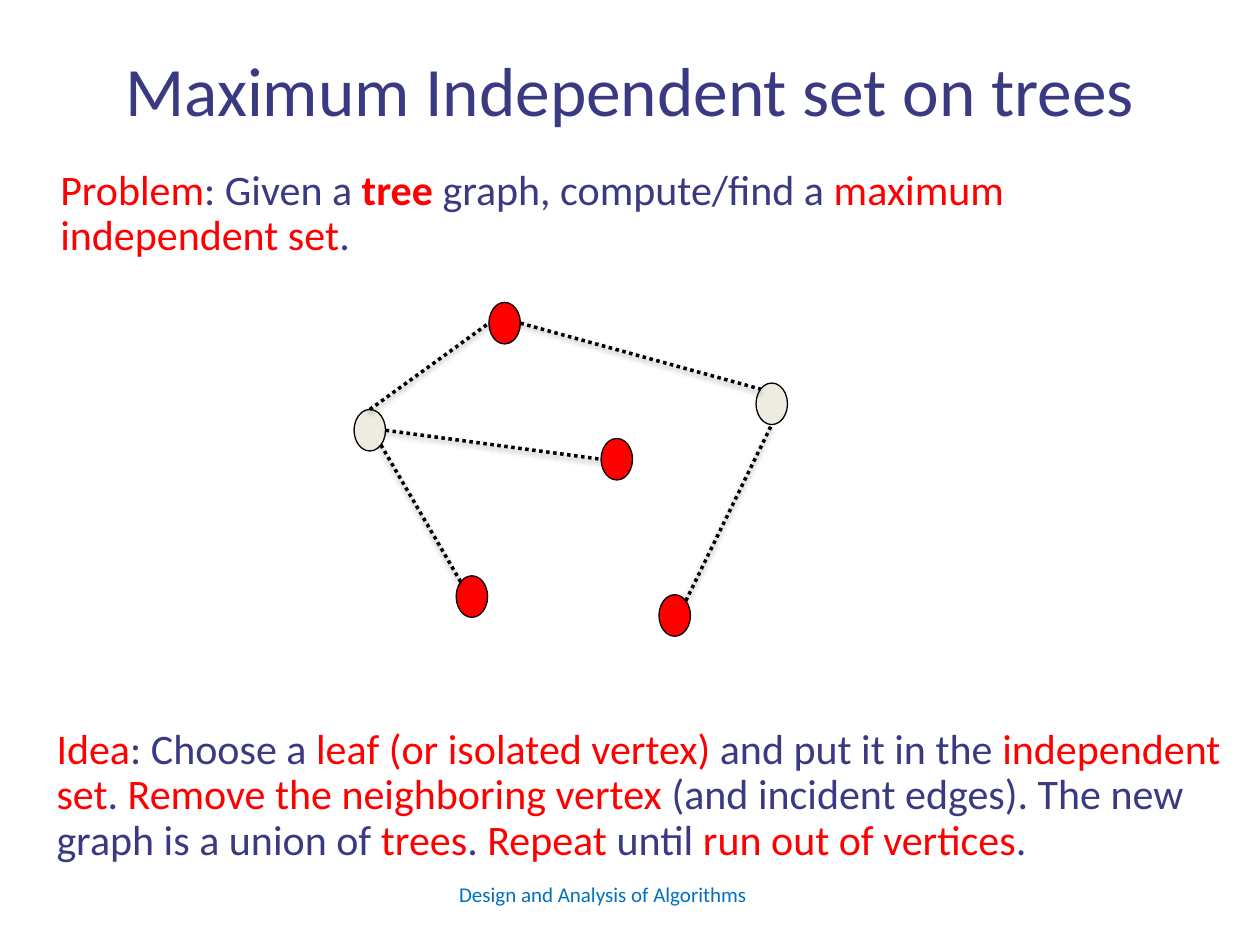
from dataclasses import dataclass
from math import cos, pi, sin
from typing import NamedTuple

from lxml import etree
from pptx import Presentation
from pptx.dml.color import RGBColor
from pptx.enum.dml import MSO_LINE
from pptx.enum.shapes import MSO_CONNECTOR, MSO_SHAPE
from pptx.enum.text import MSO_ANCHOR, MSO_AUTO_SIZE, PP_ALIGN
from pptx.oxml.ns import qn
from pptx.util import Inches, Pt

OVAL = MSO_SHAPE.OVAL
STRAIGHT = MSO_CONNECTOR.STRAIGHT
DOTTED = MSO_LINE.ROUND_DOT  # written as sysDot
MIDDLE, TOP = MSO_ANCHOR.MIDDLE, MSO_ANCHOR.TOP
CENTER, LEFT = PP_ALIGN.CENTER, PP_ALIGN.LEFT
NO_AUTOFIT = MSO_AUTO_SIZE.NONE

COLORS = {"navy": "3A3A82", "red": "FF0000", "blue": "0070C0",
          "cream": "EEECE1", "black": "000000"}
FONT = "Calibri"
CELL = Inches(0.1)  # the slide is a grid of 100 columns by 75 rows
COLUMNS, ROWS = 100, 75
VERTEX_WIDTH, VERTEX_HEIGHT = 2.5, 3.3

# Connection sites of an oval, as clockwise angles from its right end
SITES = {"right": 0, "bottom right": pi / 4, "bottom": pi / 2,
         "left": pi, "top": 3 * pi / 2, "top left": 5 * pi / 4,
         "top right": 7 * pi / 4}


class Run(NamedTuple):
    text: str
    color: str = "navy"
    bold: bool = False


class Box(NamedTuple):
    column: float
    row: float
    width: float
    height: float


@dataclass
class Vertex:
    column: float
    row: float
    color: str

    def site(self, name: str) -> tuple[float, float]:
        """Grid position of a connection site on the outline."""
        angle = SITES[name]
        return (self.column + VERTEX_WIDTH / 2 * (1 + cos(angle)),
                self.row + VERTEX_HEIGHT / 2 * (1 + sin(angle)))


class Edge(NamedTuple):
    start: str
    start_site: str
    end: str
    end_site: str


VERTICES = {
    "hub": Vertex(28.1, 32.5, "cream"),
    "root": Vertex(38.8, 24, "red"),
    "branch": Vertex(60, 30.4, "cream"),
    "lower leaf": Vertex(36.2, 45.7, "red"),
    "right leaf": Vertex(52.3, 47.2, "red"),
    "middle leaf": Vertex(47.7, 34.8, "red"),
}
EDGES = [
    Edge("hub", "bottom right", "lower leaf", "top left"),
    Edge("hub", "right", "middle leaf", "left"),
    Edge("hub", "top", "root", "left"),
    Edge("root", "right", "branch", "top left"),
    Edge("right leaf", "top right", "branch", "bottom"),
]
PROBLEM = [
    Run("Problem", "red"), Run(": Given a "), Run("tree", "red", True),
    Run(" graph, compute/find a "), Run("maximum independent set", "red"),
    Run("."),
]
IDEA = [
    Run("Idea", "red"), Run(": Choose a "),
    Run("leaf (or isolated vertex)", "red"), Run(" and put it in the "),
    Run("independent set", "red"), Run(". "),
    Run("Remove the neighboring vertex ", "red"),
    Run("(and incident edges). The new graph is a union of "),
    Run("trees", "red"), Run(". "), Run("Repeat ", "red"), Run("until"),
    Run(" run out of vertices", "red"), Run("."),
]


def rgb(name: str) -> RGBColor:
    return RGBColor.from_string(COLORS[name])


def grid(*cells: float) -> list[int]:
    return [round(cell * CELL) for cell in cells]


def write(shape, runs: list[Run], size: float, align=LEFT, anchor=TOP,
          spacing: float = 1) -> None:
    frame = shape.text_frame
    frame.word_wrap = True
    frame.auto_size = NO_AUTOFIT
    frame.vertical_anchor = anchor
    paragraph = frame.paragraphs[0]
    paragraph.alignment = align
    paragraph.line_spacing = spacing
    paragraph.space_before = Pt(0)
    paragraph.font.size = Pt(size)
    paragraph.font.name = FONT
    for item in runs:
        run = paragraph.add_run()
        run.text = item.text
        run.font.color.rgb = rgb(item.color)
        if item.bold:
            run.font.bold = True


def add_text(slide, box: Box, runs: list[Run], size: float, **layout) -> None:
    write(slide.shapes.add_textbox(*grid(*box)), runs, size, **layout)


def add_vertex(slide, vertex: Vertex) -> None:
    shape = slide.shapes.add_shape(OVAL, *grid(
        vertex.column, vertex.row, VERTEX_WIDTH, VERTEX_HEIGHT))
    shape.shadow.inherit = False
    shape.fill.solid()
    shape.fill.fore_color.rgb = rgb(vertex.color)
    shape.line.color.rgb = rgb("black")
    shape.line.width = Pt(0.75)


def add_edge(slide, edge: Edge) -> None:
    start = VERTICES[edge.start].site(edge.start_site)
    end = VERTICES[edge.end].site(edge.end_site)
    connector = slide.shapes.add_connector(STRAIGHT, *grid(*start, *end))
    connector.line.color.rgb = rgb("black")
    connector.line.width = Pt(2)
    connector.line.dash_style = DOTTED
    # Soft shadow straight below the line
    properties = connector._element.spPr
    effects = etree.SubElement(properties, qn("a:effectLst"))
    shadow = etree.SubElement(
        effects, qn("a:outerShdw"), blurRad=str(Pt(3.1)), dist=str(Pt(1.6)),
        dir="5400000", rotWithShape="0")
    color = etree.SubElement(shadow, qn("a:srgbClr"), val=COLORS["black"])
    etree.SubElement(color, qn("a:alpha"), val="38000")


def main() -> None:
    presentation = Presentation()
    presentation.slide_width, presentation.slide_height = grid(COLUMNS, ROWS)
    slide = presentation.slides.add_slide(presentation.slide_layouts[5])

    # Title
    title = slide.shapes.title
    title.left, title.top, title.width, title.height = grid(5, 0.8, 90, 12.5)
    write(title, [Run("Maximum Independent set on trees")], 39.6,
          align=CENTER, anchor=MIDDLE)

    # Footer
    add_text(slide, Box(32, 69, 31.7, 4),
             [Run("Design and Analysis of Algorithms", "blue")], 12,
             align=CENTER, anchor=MIDDLE)

    # Tree
    for vertex in VERTICES.values():
        add_vertex(slide, vertex)
    for edge in EDGES:
        add_edge(slide, edge)

    # Idea and problem
    add_text(slide, Box(3.5, 57.3, 96.5, 11.9), IDEA, 24, spacing=0.9)
    add_text(slide, Box(3.8, 12.9, 92.5, 8.3), PROBLEM, 24, spacing=0.9)

    presentation.save("out.pptx")


if __name__ == "__main__":
    main()
